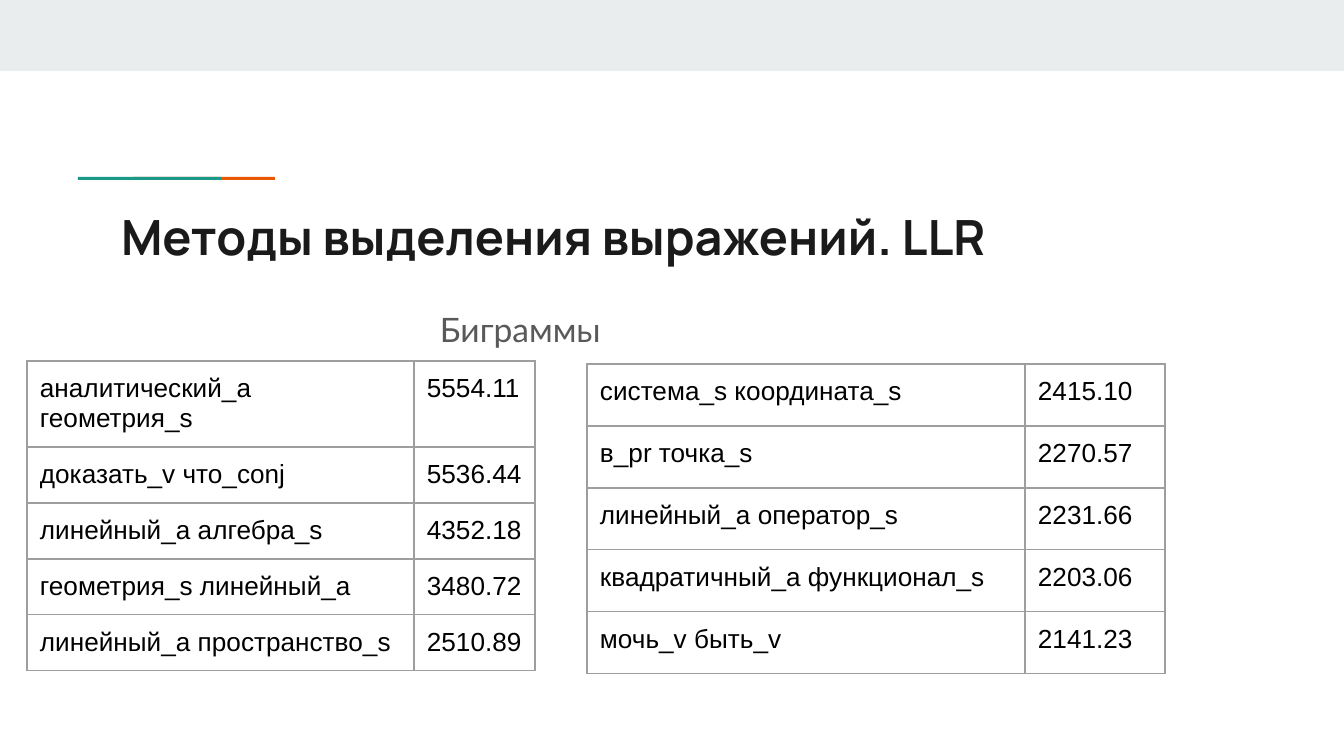
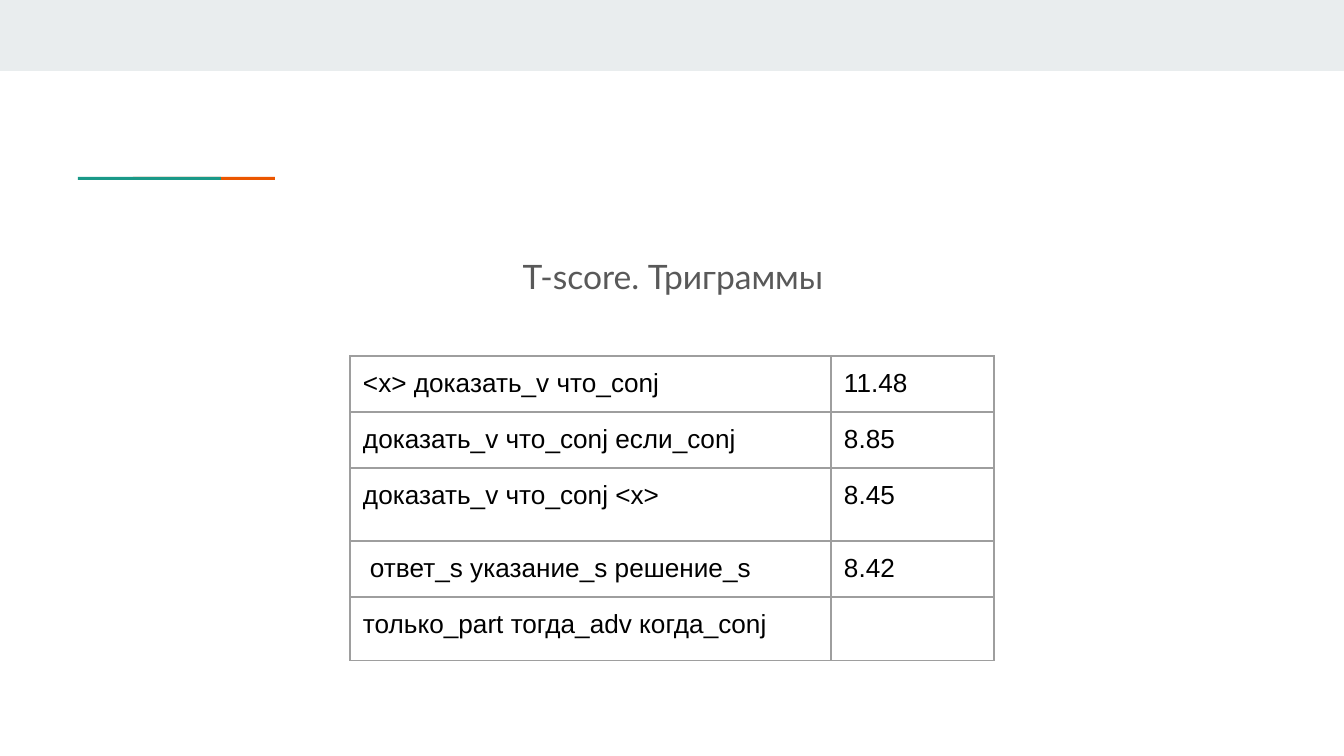
from lxml.etree import SubElement
from pptx import Presentation
from pptx.dml.color import RGBColor
from pptx.enum.shapes import MSO_SHAPE
from pptx.enum.text import MSO_ANCHOR, MSO_AUTO_SIZE, PP_ALIGN
from pptx.oxml.ns import qn
from pptx.util import Pt

WIDTH, HEIGHT = 1344, 756
EMU_PER_PX = 9144000 / WIDTH
INSET = 13

BAND = RGBColor(0xE9, 0xED, 0xEE)
ORANGE = RGBColor(0xEB, 0x56, 0x00)
TEAL = RGBColor(0x1A, 0x99, 0x88)
INK = RGBColor(0x1A, 0x1A, 0x1A)
GREY = RGBColor(0x59, 0x59, 0x59)
BLACK = RGBColor(0x00, 0x00, 0x00)
GRID = RGBColor(0x9E, 0x9E, 0x9E)


def px(*lengths):
    emu = [round(n * EMU_PER_PX) for n in lengths]
    return emu[0] if len(emu) == 1 else emu


def set_margins(target, margin=INSET):
    """Set equal margins on a text frame or a table cell."""
    target.margin_left = target.margin_right = px(margin)
    target.margin_top = target.margin_bottom = px(margin)


def write(tf, text, font="Arial", size=14, color=BLACK, bold=False,
          align=PP_ALIGN.LEFT, line=1.0, after=0):
    p = tf.paragraphs[0]
    p.alignment, p.line_spacing, p.space_after = align, line, Pt(after)
    p.font.size = Pt(size)
    if text:
        r = p.add_run()
        r.text = text
        r.font.name, r.font.size, r.font.bold = font, Pt(size), bold
        r.font.color.rgb = color


def add_borders(cell, color=GRID, width=0.75):
    tc_pr = cell._tc.get_or_add_tcPr()
    for side in ("a:lnL", "a:lnR", "a:lnT", "a:lnB"):
        ln = SubElement(tc_pr, qn(side), w=str(Pt(width)))
        fill = SubElement(ln, qn("a:solidFill"))
        SubElement(fill, qn("a:srgbClr"), val=str(color))


class Deck:
    TITLE_ONLY, BLANK = 5, 6

    def __init__(self):
        self.prs = Presentation()
        self.prs.slide_width, self.prs.slide_height = px(WIDTH, HEIGHT)
        self.s = None

    def slide(self, title=None):
        layout = self.TITLE_ONLY if title else self.BLANK
        self.s = self.prs.slides.add_slide(self.prs.slide_layouts[layout])
        self.rect(0, 0, WIDTH, 71, BAND)
        self.rect(133, 177, 142, 3, ORANGE)
        self.rect(78, 177, 143, 3, TEAL)
        if title:
            self.title(title)

    def rect(self, x, y, w, h, color):
        sp = self.s.shapes.add_shape(MSO_SHAPE.RECTANGLE, *px(x, y, w, h))
        sp.shadow.inherit = False
        sp.fill.solid()
        sp.fill.fore_color.rgb = color
        sp.line.fill.background()

    def frame(self, sp):
        tf = sp.text_frame
        tf.word_wrap, tf.auto_size = True, MSO_AUTO_SIZE.NONE
        tf.vertical_anchor = MSO_ANCHOR.TOP
        set_margins(tf)
        return tf

    def title(self, text):
        sp = self.s.shapes.title
        sp.left, sp.top, sp.width, sp.height = px(108, 194, 1130, 79)
        write(self.frame(sp), text, font="Manrope", size=26, color=INK, bold=True)

    def caption(self, text, x, y, w, h, align=PP_ALIGN.LEFT):
        sp = self.s.shapes.add_textbox(*px(x, y, w, h))
        write(self.frame(sp), text, font="Lato", size=18, color=GREY,
              align=align, line=1.15, after=16)

    def table(self, x, y, widths, heights, rows):
        sp = self.s.shapes.add_table(len(rows), len(widths),
                                     *px(x, y, sum(widths), sum(heights)))
        table = sp.table
        table.first_row = table.horz_banding = False
        for column, width in zip(table.columns, widths):
            column.width = px(width)
        for row, height, values in zip(table.rows, heights, rows):
            row.height = px(height)
            for cell, value in zip(row.cells, values):
                set_margins(cell)
                add_borders(cell)
                cell.fill.background()
                write(cell.text_frame, value)
        return table


def bigrams(deck):
    deck.slide("Методы выделения выражений. LLR")
    deck.caption("Биграммы", 427, 290, 476, 57)
    deck.table(27, 361, [387, 121], [86] + [56] * 4, [
        ("аналитический_а геометрия_s", "5554.11"),
        ("доказать_v что_conj", "5536.44"),
        ("линейный_a алгебра_s", "4352.18"),
        ("геометрия_s линейный_a", "3480.72"),
        ("линейный_а пространство_s", "2510.89"),
    ])
    deck.table(587, 364, [438, 140], [62] * 5, [
        ("система_s координата_s", "2415.10"),
        ("в_pr точка_s", "2270.57"),
        ("линейный_a оператор_s", "2231.66"),
        ("квадратичный_а функционал_s", "2203.06"),
        ("мочь_v быть_v", "2141.23"),
    ])


def trigrams(deck):
    deck.slide()
    table = deck.table(350, 356, [481, 163], [56, 56, 73, 56, 64], [
        ("<x> доказать_v что_conj", "11.48"),
        ("доказать_v что_conj если_conj", "8.85"),
        ("доказать_v что_conj <x>", "8.45"),
        ("ответ_s указание_s решение_s", "8.42"),
        ("только_part тогда_adv когда_conj", ""),
    ])
    table.cell(3, 0).margin_left = px(INSET + 7)
    deck.caption("T-score. Триграммы", 108, 237, 1130, 60, align=PP_ALIGN.CENTER)


def main():
    deck = Deck()
    bigrams(deck)
    trigrams(deck)
    deck.prs.save("out.pptx")


if __name__ == "__main__":
    main()
